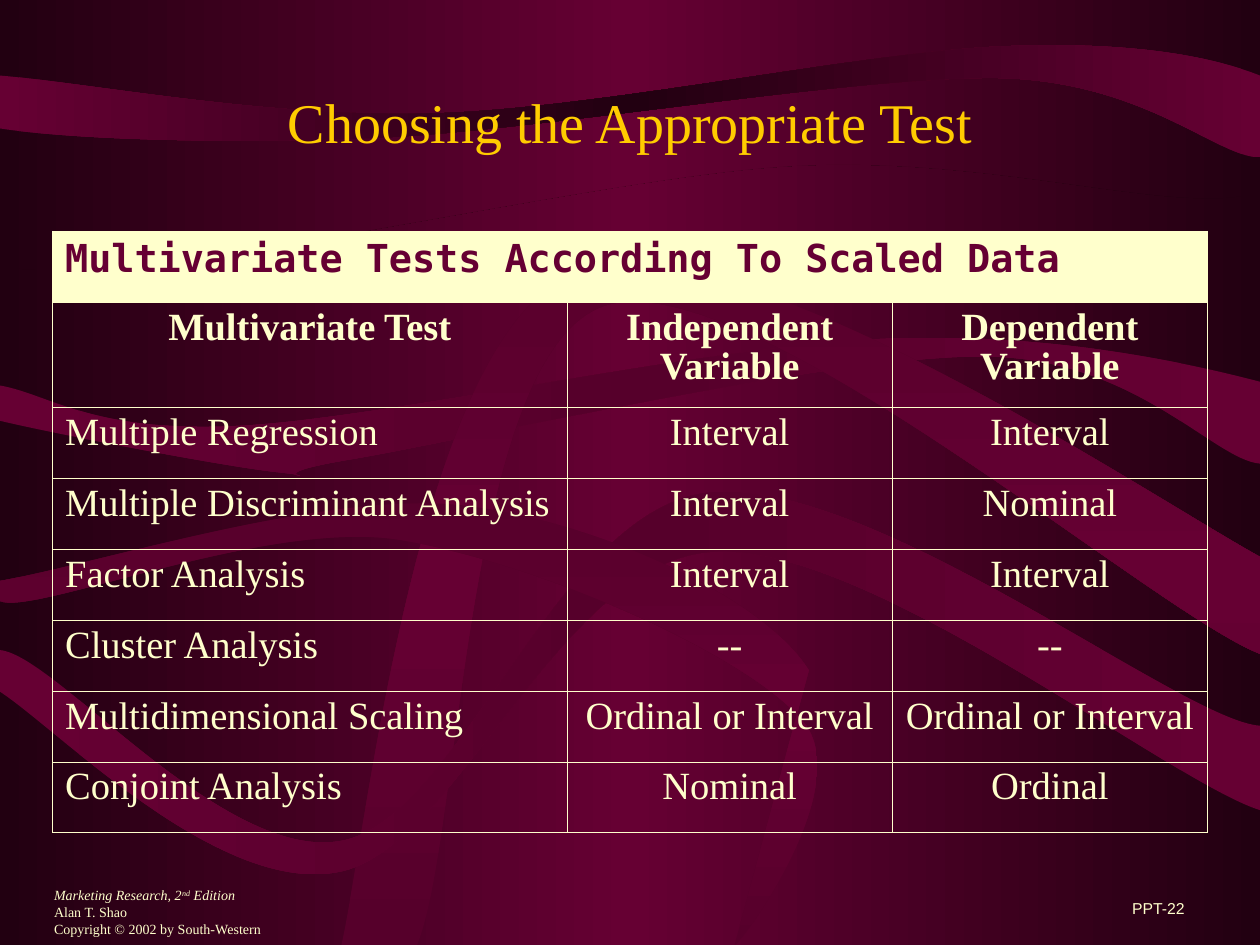
from copy import deepcopy
from lxml.etree import SubElement
from pptx import Presentation
from pptx.dml.color import RGBColor
from pptx.enum.text import MSO_ANCHOR, PP_ALIGN
from pptx.oxml.ns import qn
from pptx.util import Cm, Pt

CREAM, WINE, PLUM, DARK = "FFFFCC", "660033", "56002B", "220011"
SERIF = "Times New Roman"
UNITS_PER_INCH = 1000

RIBBONS = [
    ((DARK, WINE, DARK), 0, (0, 0), [
        (10, 0), (10, 1.52),
        (9.38, 1.74, 7.92, 1.22, 6.25, 1.32),
        (4.58, 1.42, 1.04, 2.33, 0, 2.11),
        (0, 0)]),
    ((WINE, DARK, WINE), 0, (0, 0.6), [
        (0, 1.02),
        (0.51, 1.1, 1.76, 1.15, 3.08, 1.09),
        (4.4, 1.02, 6.79, 0.6, 7.94, 0.62),
        (9.09, 0.65, 9.66, 1.25, 10, 1.25),
        (10, 0.6),
        (9.65, 0.46, 9.01, 0.32, 7.92, 0.37),
        (6.82, 0.42, 4.77, 0.86, 3.45, 0.9),
        (2.13, 0.94, 0.72, 0.66, 0, 0.6)]),
    ((WINE, PLUM, WINE), 0, (0, 3.06), [
        (0, 3.34),
        (0.37, 3.43, 1.75, 3.7, 2.22, 3.75),
        (2.69, 3.8, 1.9, 3.79, 2.82, 3.64),
        (3.75, 3.48, 6.6, 2.82, 7.8, 2.83),
        (9, 2.83, 9.63, 3.65, 10, 3.68),
        (10, 3.03),
        (9.5, 2.9, 8.36, 2.63, 7.01, 2.69),
        (5.66, 2.74, 3.07, 3.32, 1.9, 3.38),
        (0.73, 3.44, 0.4, 3.13, 0, 3.06)]),
    ((PLUM, WINE, PLUM), 90, (2.71, 7.5), [
        (2.91, 6.61, 3.32, 2.69, 4.54, 2.18),
        (5.75, 1.66, 9.09, 3.92, 10, 4.42),
        (10, 5.19),
        (9.13, 4.85, 5.91, 2.05, 4.79, 2.43),
        (3.68, 2.82, 3.66, 6.66, 3.31, 7.5),
        (2.71, 7.5)]),
    ((WINE, PLUM, WINE), 0, (0, 5.16), [
        (0, 5.49),
        (0.45, 5.78, 1.74, 7.11, 2.69, 6.92),
        (3.63, 6.74, 4.43, 4.46, 5.65, 4.38),
        (6.87, 4.29, 9.27, 6.2, 10, 6.43),
        (10, 5.76),
        (9.38, 5.72, 6.91, 3.77, 5.62, 3.91),
        (4.41, 4.06, 3.67, 6.46, 2.73, 6.67),
        (1.79, 6.87, 0.45, 5.2, 0, 5.16)]),
    ((PLUM, WINE, PLUM), 90, (0, 4.61), [
        (0, 4.77),
        (0.26, 4.89, 2.08, 4.13, 3.14, 4.28),
        (4.2, 4.44, 5.92, 5.18, 6.37, 5.72),
        (6.82, 6.25, 5.82, 7.57, 5.83, 7.5),
        (6.42, 5.32),
        (6.06, 4.74, 4.73, 4.13, 3.66, 4.01),
        (2.59, 3.89, 0.76, 4.48, 0, 4.61)]),
]

ROWS = [
    ("Multivariate Tests According To Scaled Data", "", ""),
    ("Multivariate Test", "Independent Variable", "Dependent Variable"),
    ("Multiple Regression", "Interval", "Interval"),
    ("Multiple Discriminant Analysis", "Interval", "Nominal"),
    ("Factor Analysis", "Interval", "Interval"),
    ("Cluster Analysis", "--", "--"),
    ("Multidimensional Scaling", "Ordinal or Interval", "Ordinal or Interval"),
    ("Conjoint Analysis", "Nominal", "Ordinal"),
]


def rgb(value):
    return RGBColor.from_string(value)


def set_gradient(fill, element, colors, angle):
    fill.gradient()
    fill.gradient_angle = angle
    stops = element.find(".//" + qn("a:gsLst"))
    stops.append(deepcopy(stops[-1]))
    for i, (stop, color) in enumerate(zip(fill.gradient_stops, colors)):
        stop.position = i / 2
        stop.color.rgb = rgb(color)


def bend_segments(sp, segments):
    lines = iter(sp.element.findall(".//" + qn("a:lnTo")))
    for seg in segments:
        line = next(lines)
        if len(seg) == 2:
            continue
        curve = line.makeelement(qn("a:cubicBezTo"))
        line.addprevious(curve)
        for part in (line, next(lines), next(lines)):
            curve.append(part[0])
            part.getparent().remove(part)


def add_ribbon(s, colors, angle, start, segments):
    points = [(x * UNITS_PER_INCH, y * UNITS_PER_INCH)
              for seg in [start] + segments for x, y in zip(seg[::2], seg[1::2])]
    builder = s.shapes.build_freeform(*points[0], scale=Cm(2.54) / UNITS_PER_INCH)
    builder.add_line_segments(points[1:], close=True)
    sp = builder.convert_to_shape()
    bend_segments(sp, segments)
    sp.shadow.inherit = False
    sp.line.fill.background()
    set_gradient(sp.fill, sp.element, colors, angle)


def add_run(p, text, size, color=CREAM, font=SERIF, bold=False, italic=False):
    r = p.add_run()
    r.text = text
    r.font.size = Pt(size)
    r.font.name = font
    r.font.bold = bold
    r.font.italic = italic
    r.font.color.rgb = rgb(color)
    return r


def add_text_box(s, left, top, width, height, anchor):
    tf = s.shapes.add_textbox(Cm(left), Cm(top), Cm(width), Cm(height)).text_frame
    tf.word_wrap = True
    tf.vertical_anchor = anchor
    return tf


def add_label(s, box, anchor, align, text, **style):
    p = add_text_box(s, *box, anchor).paragraphs[0]
    p.alignment = align
    add_run(p, text, **style)


def add_credit(s):
    tf = add_text_box(s, 0.84, 17.37, 7.19, 1.63, MSO_ANCHOR.BOTTOM)
    p = tf.paragraphs[0]
    p.line_spacing = 0.5
    add_run(p, "Marketing Research, 2", 8, italic=True)
    r = add_run(p, "nd", 8, italic=True)
    r.font._element.set("baseline", "30000")
    add_run(p, " Edition", 8, italic=True)
    for line in ("Alan T. Shao", "Copyright © 2002 by South-Western"):
        p = tf.add_paragraph()
        p.line_spacing = 0.5
        p.space_before = Pt(5)
        add_run(p, line, 8)


def set_borders(cell, widths):
    tcPr = cell._tc.get_or_add_tcPr()
    for side, width in zip("LRTB", widths):
        ln = SubElement(tcPr, qn("a:ln" + side), w=str(Pt(width)))
        SubElement(SubElement(ln, qn("a:solidFill")), qn("a:srgbClr"), val=CREAM)


def add_test_table(s):
    widths, heights = (10.37, 6.56, 6.35), [1.43, 2.12] + [1.43] * 6
    last_row, last_col = len(heights) - 1, len(widths) - 1
    table = s.shapes.add_table(len(heights), len(widths), Cm(1.06), Cm(4.66),
                               Cm(sum(widths)), Cm(sum(heights))).table
    table.first_row = table.horz_banding = False
    for column, width in zip(table.columns, widths):
        column.width = Cm(width)
    for i, texts in enumerate(ROWS):
        table.rows[i].height = Cm(heights[i])
        for j, text in enumerate(texts):
            cell = table.cell(i, j)
            outer = (j == 0, j == last_col, i == 0, i == last_row)
            set_borders(cell, [0.5 if edge else 0.23 for edge in outer])
            if i == 0:
                cell.fill.solid()
                cell.fill.fore_color.rgb = rgb(CREAM)
            else:
                cell.fill.background()
            if not text:
                continue
            p = cell.text_frame.paragraphs[0]
            p.line_spacing = 0.98 if i == 0 else 0.93
            p.alignment = PP_ALIGN.CENTER if i == 1 or j > 0 else PP_ALIGN.LEFT
            if i == 0:
                add_run(p, text, 22, WINE, "DejaVu Sans Mono", bold=True)
            else:
                add_run(p, text, 22, bold=i == 1)
    table.cell(0, 0).merge(table.cell(0, last_col))


def main():
    prs = Presentation()
    prs.slide_width, prs.slide_height = Cm(25.4), Cm(19.05)
    s = prs.slides.add_slide(prs.slide_layouts[6])
    set_gradient(s.background.fill, s.element, (DARK, WINE, DARK), 0)
    for ribbon in RIBBONS:
        add_ribbon(s, *ribbon)
    add_credit(s)
    add_label(s, (18.85, 17.35, 5.28, 1.27), MSO_ANCHOR.BOTTOM, PP_ALIGN.RIGHT,
              "PPT-22", size=9, font="Arial")
    add_label(s, (1.91, 0.85, 21.59, 3.18), MSO_ANCHOR.MIDDLE, PP_ALIGN.CENTER,
              "Choosing the Appropriate Test", size=32, color="FFCC00")
    add_test_table(s)
    prs.save("out.pptx")


if __name__ == "__main__":
    main()
